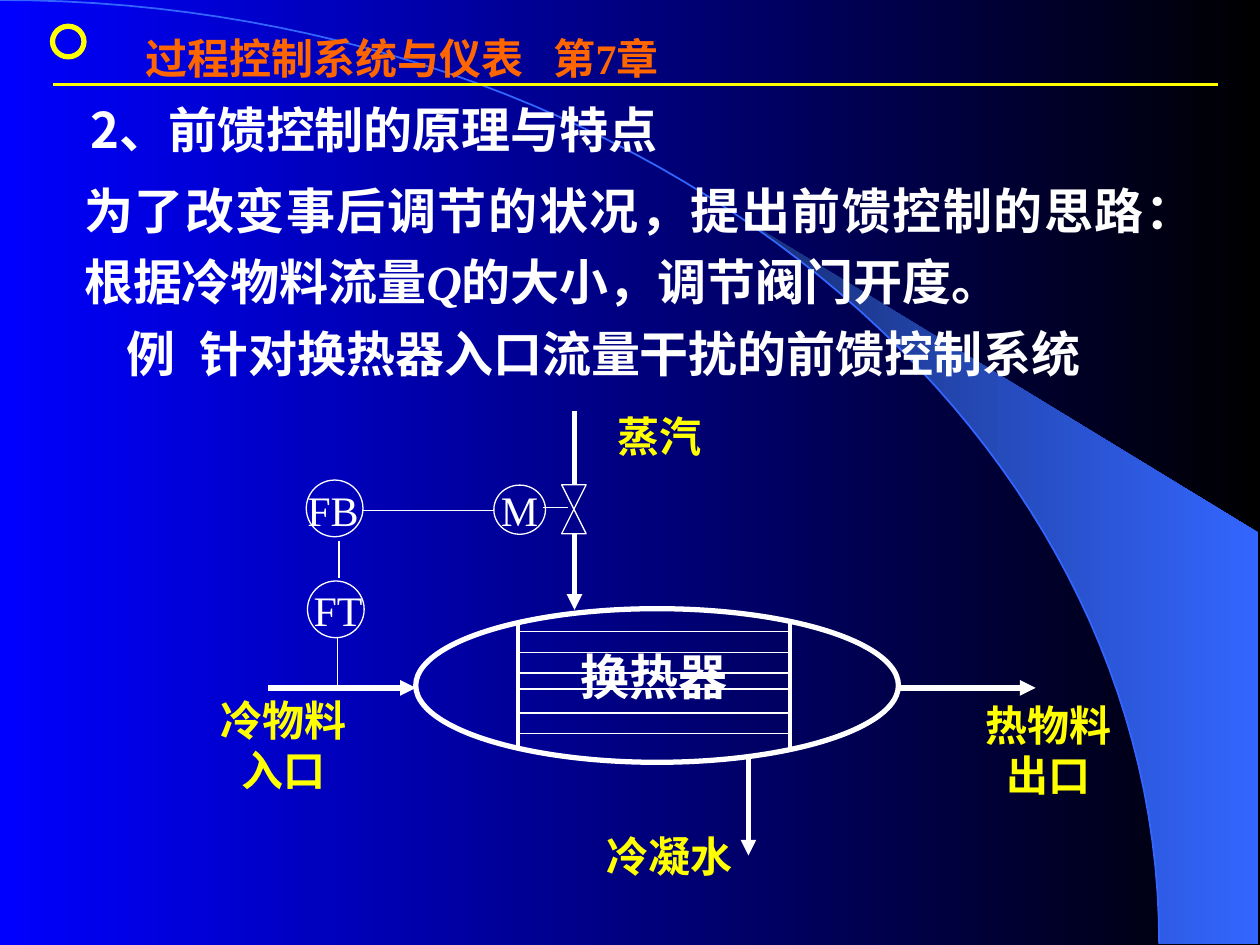
"""Build the slide on the principle of feedforward control of a heat exchanger."""
from lxml.etree import SubElement
from pptx import Presentation
from pptx.dml.color import RGBColor
from pptx.enum.shapes import MSO_CONNECTOR, MSO_SHAPE
from pptx.enum.text import MSO_ANCHOR, PP_ALIGN
from pptx.oxml.ns import qn
from pptx.util import Pt

rgb = RGBColor.from_string
WHITE, YELLOW, BLUE = "FFFFFF", "FFFF00", "3366FF"
TIMES, NOTO = "Times New Roman", "Noto Sans CJK SC"


def write(tf, runs, color, para=None, tab=None, wrap=True, **font):
    tf.word_wrap = wrap
    p = tf.paragraphs[0]
    if tab:
        tabs = SubElement(p._p.get_or_add_pPr(), qn("a:tabLst"))
        SubElement(tabs, qn("a:tab"), pos=str(Pt(tab)), algn="l")
    for key, value in (para or {}).items():
        setattr(p, key, value)
    for text, italic in runs:
        r = p.add_run()
        r.text = text
        fmt = {"name": TIMES, "size": Pt(24), "bold": True, "italic": italic, **font}
        for key, value in fmt.items():
            setattr(r.font, key, value)
        r.font.color.rgb = rgb(color)
        SubElement(r._r.get_or_add_rPr(), qn("a:ea"), typeface=NOTO)


def line(x1, y1, x2, y2, width=0.75, color=WHITE, arrow=False):
    c = s.shapes.add_connector(MSO_CONNECTOR.STRAIGHT, Pt(x1), Pt(y1), Pt(x2), Pt(y2))
    c.line.width = Pt(width)
    c.line.color.rgb = rgb(color)
    if arrow:
        SubElement(c.line._get_or_add_ln(), qn("a:tailEnd"), type="triangle")
    SubElement(c._element.spPr, qn("a:effectLst"))


prs = Presentation()
prs.slide_width, prs.slide_height = Pt(720), Pt(540)
s = prs.slides.add_slide(prs.slide_layouts[6])

arc = []
for i in range(61):
    t = i / 60
    a, b, c = 3 * t * (1 - t) ** 2, 3 * t ** 2 * (1 - t), t ** 3
    arc.append((Pt(365.8 * a + 662.4 * (b + c)), Pt(241.2 * b + 539.3 * c)))

corners = [(Pt(719.3), Pt(539.3)), (Pt(719.3), Pt(304.6)), (Pt(424.1), Pt(124.6))]
edge = [pt for pt in arc if pt[0] > Pt(430)]
fb = s.shapes.build_freeform(*corners[0])
fb.add_line_segments(corners[1:] + edge, close=True)
band = fb.convert_to_shape()
band.line.fill.background()
band.shadow.inherit = False

for fill, colors in [(s.background.fill, ("0000FF", "000000")), (band.fill, ("182F76", BLUE))]:
    fill.gradient()
    fill.gradient_angle = 0
    for stop, color, position in zip(fill.gradient_stops, colors, (0, 1)):
        stop.color.rgb = rgb(color)
        stop.position = position

valve = [(Pt(x), Pt(y)) for x, y in [(321, 277), (335, 277), (321, 305), (335, 305)]]
for points, close, color, width in [(arc, False, BLUE, 1), (valve, True, WHITE, 0.75)]:
    fb = s.shapes.build_freeform(*points[0])
    fb.add_line_segments(points[1:], close=close)
    sp = fb.convert_to_shape()
    sp.fill.background()
    sp.line.color.rgb = rgb(color)
    sp.line.width = Pt(width)
    sp.shadow.inherit = False

for x, y, w, h, color, width, label in [
    (30, 15, 18, 17.5, YELLOW, 3, None),
    (237.6, 347.8, 275.8, 87.8, WHITE, 3, None),
    (282.2, 277.2, 29.5, 28.1, WHITE, 0.75, "M"),
    (175.7, 332, 32.4, 32.4, WHITE, 0.75, None),
    (175, 274.3, 32.4, 32.4, WHITE, 0.75, None),
]:
    sp = s.shapes.add_shape(MSO_SHAPE.OVAL, Pt(x), Pt(y), Pt(w), Pt(h))
    sp.fill.background()
    sp.line.color.rgb = rgb(color)
    sp.line.width = Pt(width)
    sp.shadow.inherit = False
    if label:
        sp.text_frame.vertical_anchor = MSO_ANCHOR.MIDDLE
        write(sp.text_frame, [(label, False)], color, {"alignment": PP_ALIGN.CENTER},
              wrap=False, bold=False)

line(30.2, 48.2, 696.2, 48.2, 1.5, YELLOW)
for x1, y1, x2, y2 in [
    (153.4, 393.1, 237.6, 393.1),
    (427.7, 433.4, 427.7, 488.9),
    (328.3, 305.3, 328.3, 348.5),
    (512.6, 393.1, 591.8, 393.1),
]:
    line(x1, y1, x2, y2, 3, arrow=True)
line(328.3, 234.7, 328.3, 276.5, 3)
for x in (295.9, 451.4):
    line(x, 355.7, x, 427.7, 2.25)
for y in (360.7, 373, 384.5, 393.8, 407.5, 419):
    line(295.9, y, 451.4, y)
for ends in [
    (310.3, 290.2, 324.7, 290.2),
    (207.4, 291.6, 282.2, 291.6),
    (193, 364.3, 193, 393.1),
    (193.7, 308.9, 193.7, 330.5),
]:
    line(*ends)

body = {"alignment": PP_ALIGN.JUSTIFY, "line_spacing": 1.2}
center = {"alignment": PP_ALIGN.CENTER}
big, plain = {"size": Pt(28)}, {"bold": False, "wrap": False}
for x, y, w, h, text, color, fmt in [
    (76.3, 15.1, 323.3, 64.8, "过程控制系统与仪表\t第7章", "FF6600", {"tab": 233}),
    (44.6, 46.8, 630.7, 47.5, "2、前馈控制的原理与特点", WHITE,
     {"para": {**body, "space_after": Pt(7)}, "name": NOTO, **big}),
    (41, 92.9, 648.7, 87.8,
     "为了改变事后调节的状况，提出前馈控制的思路：根据冷物料流量|Q|的大小，调节阀门开度。",
     WHITE, {"para": {**body, "space_after": Pt(3)}, **big}),
    (65.5, 181.4, 595.4, 41, "例\t针对换热器入口流量干扰的前馈控制系统", WHITE,
     {"tab": 41.5, "name": NOTO, **big}),
    (345.6, 231.1, 77.8, 36, "蒸汽", YELLOW, {}),
    (324.7, 365.8, 105.8, 41, "换热器", WHITE, big),
    (112.3, 393.1, 99.4, 64.8, "冷物料入口", YELLOW, {"para": center}),
    (550.8, 396, 96.5, 64.8, "热物料出口", YELLOW, {"para": center}),
    (334.1, 470.9, 96.5, 36, "冷凝水", YELLOW, {"para": center}),
    (172.1, 330.5, 42.5, 36, "FT", WHITE, plain),
    (168.5, 273.6, 43.9, 36, "FB", WHITE, plain),
]:
    tf = s.shapes.add_textbox(Pt(x), Pt(y), Pt(w), Pt(h)).text_frame
    write(tf, [(part, part == "Q") for part in text.split("|")], color, **fmt)

prs.save("out.pptx")
